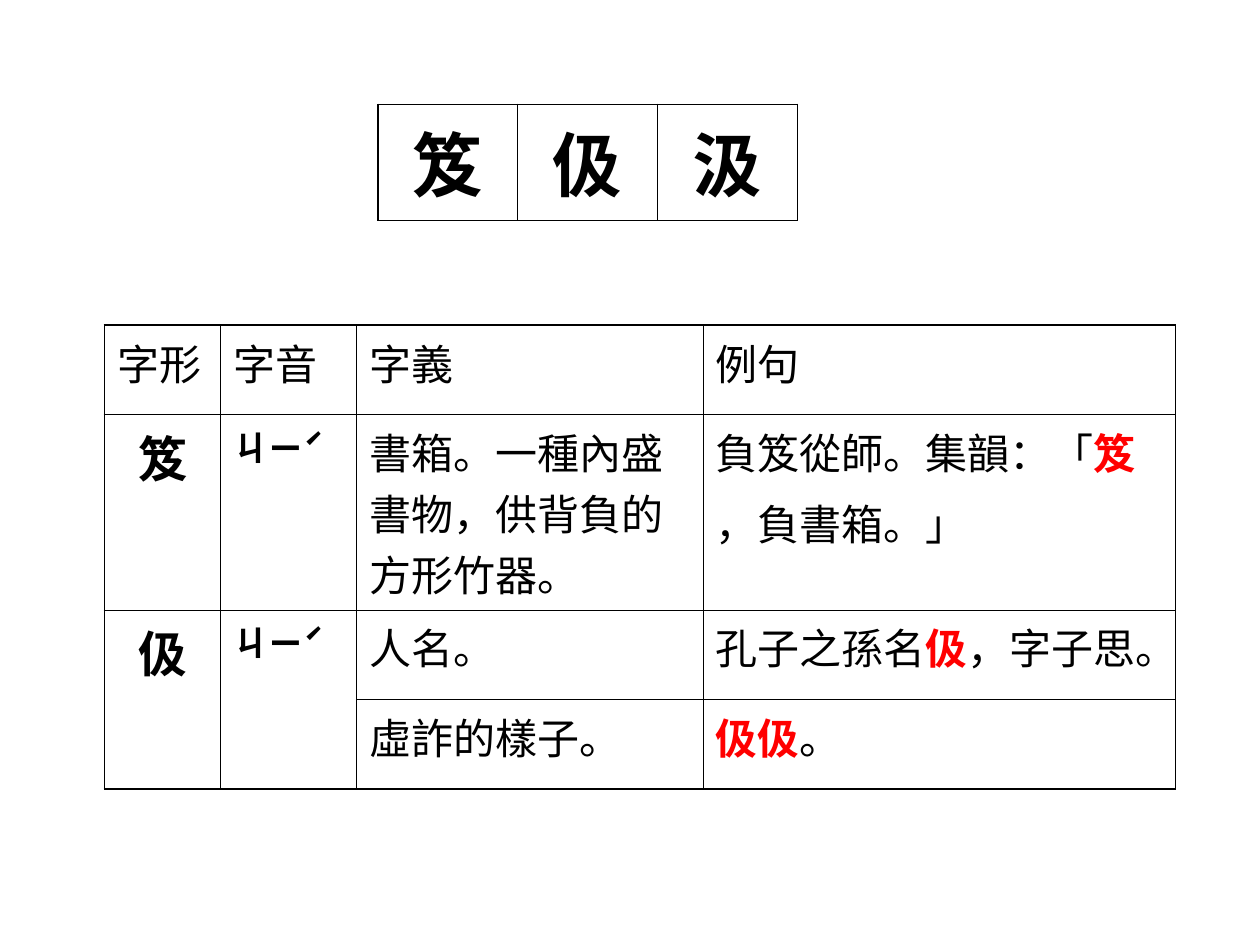
from lxml import etree
from pptx import Presentation
from pptx.dml.color import RGBColor
from pptx.enum.text import PP_ALIGN
from pptx.oxml.ns import qn
from pptx.util import Inches, Pt

LEFT, CENTER = PP_ALIGN.LEFT, PP_ALIGN.CENTER
BLACK = RGBColor(0x00, 0x00, 0x00)
RED = RGBColor(0xFF, 0x00, 0x00)
FONT = "Times New Roman"
OUTER, INNER = Pt(1.08), Pt(0.45)

# Text between asterisks is the highlighted character; None continues the cell above.
DEFINITIONS = [
    ["字形", "字音", "字義", "例句"],
    ["笈", "ㄐㄧˊ", "書箱。一種內盛書物，供背負的方形竹器。",
     "負笈從師。集韻：「*笈*\n，負書箱。」"],
    ["伋", "ㄐㄧˊ", "人名。", "孔子之孫名*伋*，字子思。"],
    [None, None, "虛詐的樣子。", "*伋伋*。"],
]
CHARACTERS = [["笈", "伋", "汲"]]

# Cell styles: size, bold, alignment
PLAIN = (24, False, LEFT)
GLYPH = (28, True, CENTER)
SOUND = (20, True, LEFT)
HEADLINE = (40, True, CENTER)


def definition_style(row, col):
    if row == 0:
        return PLAIN
    return (GLYPH, SOUND, PLAIN, PLAIN)[col]


def headline_style(row, col):
    return HEADLINE


def write_cell(cell, text, style):
    size, bold, align = style
    tf = cell.text_frame
    tf.text = text.replace("*", "")
    for p, line in zip(tf.paragraphs, text.split("\n")):
        p.text = ""
        p.alignment = align
        p.space_before = Pt(size / 4)
        for i, part in enumerate(line.split("*")):
            if not part:
                continue
            marked = i % 2 == 1
            r = p.add_run()
            r.text = part
            r.font.name = FONT
            r.font.size = Pt(size)
            r.font.bold = bold or marked
            r.font.color.rgb = RED if marked else BLACK


def draw_borders(cell, edges):
    """Draw cell sides from a dict of side letter to line width."""
    tcPr = cell._tc.get_or_add_tcPr()
    for side, width in edges.items():
        ln = etree.SubElement(tcPr, qn(f"a:ln{side}"), w=str(int(width)))
        fill = etree.SubElement(ln, qn("a:solidFill"))
        etree.SubElement(fill, qn("a:srgbClr"), val=str(BLACK))


def add_grid(slide, rows, left, top, widths, heights, style_for):
    n_rows, n_cols = len(rows), len(widths)
    table = slide.shapes.add_table(
        n_rows, n_cols, Inches(left), Inches(top),
        Inches(sum(widths)), Inches(sum(heights))).table
    table.first_row = table.horz_banding = False
    for column, width in zip(table.columns, widths):
        column.width = Inches(width)
    for row, height in zip(table.rows, heights):
        row.height = Inches(height)

    for r, texts in enumerate(rows):
        for c, text in enumerate(texts):
            if text is None:
                table.cell(r - 1, c).merge(table.cell(r, c))

    for r, texts in enumerate(rows):
        for c, text in enumerate(texts):
            cell = table.cell(r, c)
            last_row = r + (cell.span_height if cell.is_merge_origin else 1)
            edges = {
                "L": OUTER if c == 0 else INNER,
                "R": OUTER if c == n_cols - 1 else INNER,
                "T": OUTER if r == 0 else INNER,
                "B": OUTER if last_row == n_rows else INNER,
            }
            if text is None:
                del edges["T"]
            else:
                write_cell(cell, text, style_for(r, c))
            draw_borders(cell, edges)
            cell.fill.background()


prs = Presentation()
prs.slide_width, prs.slide_height = Inches(10), Inches(7.5)
slide = prs.slides.add_slide(prs.slide_layouts[6])
add_grid(slide, DEFINITIONS, 0.83, 2.58, [0.92, 1.08, 2.75, 3.75],
         [0.71, 1.3, 0.71, 0.71], definition_style)
add_grid(slide, CHARACTERS, 3, 0.83, [1.11] * 3, [0.92], headline_style)
prs.save("out.pptx")
